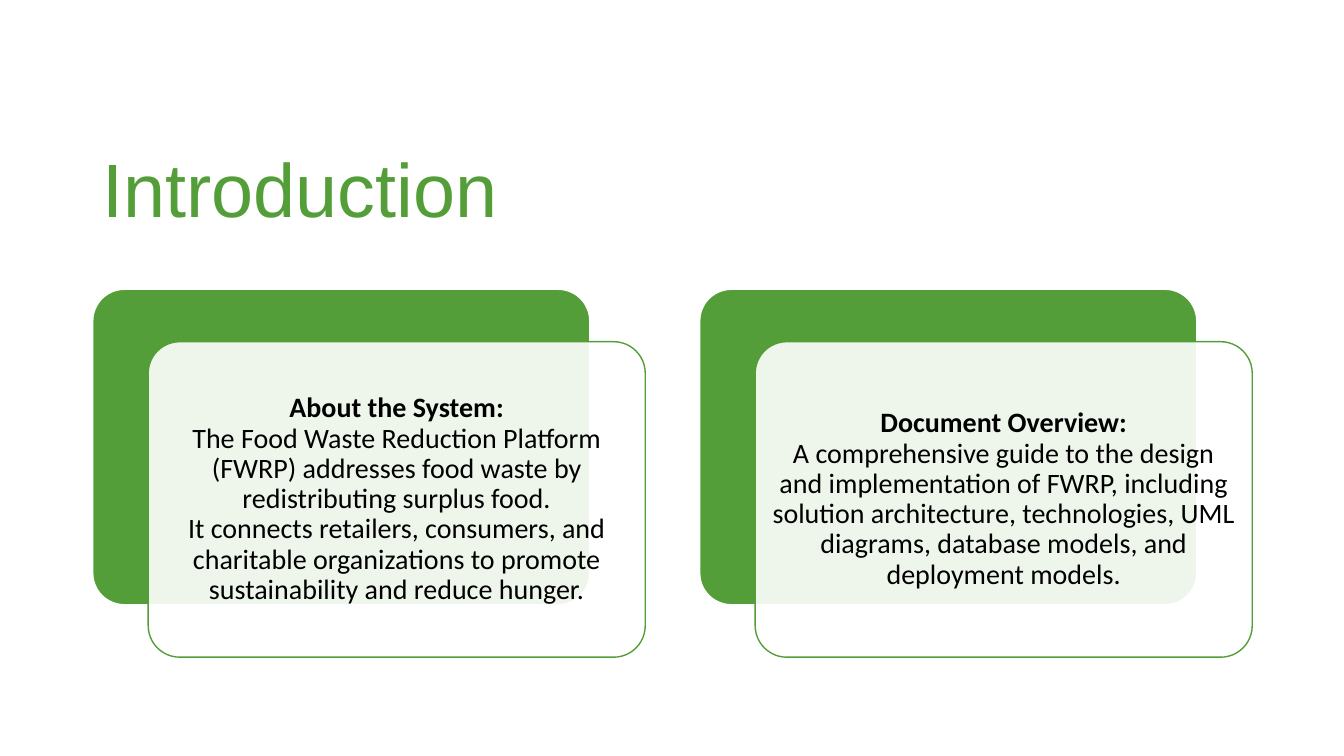
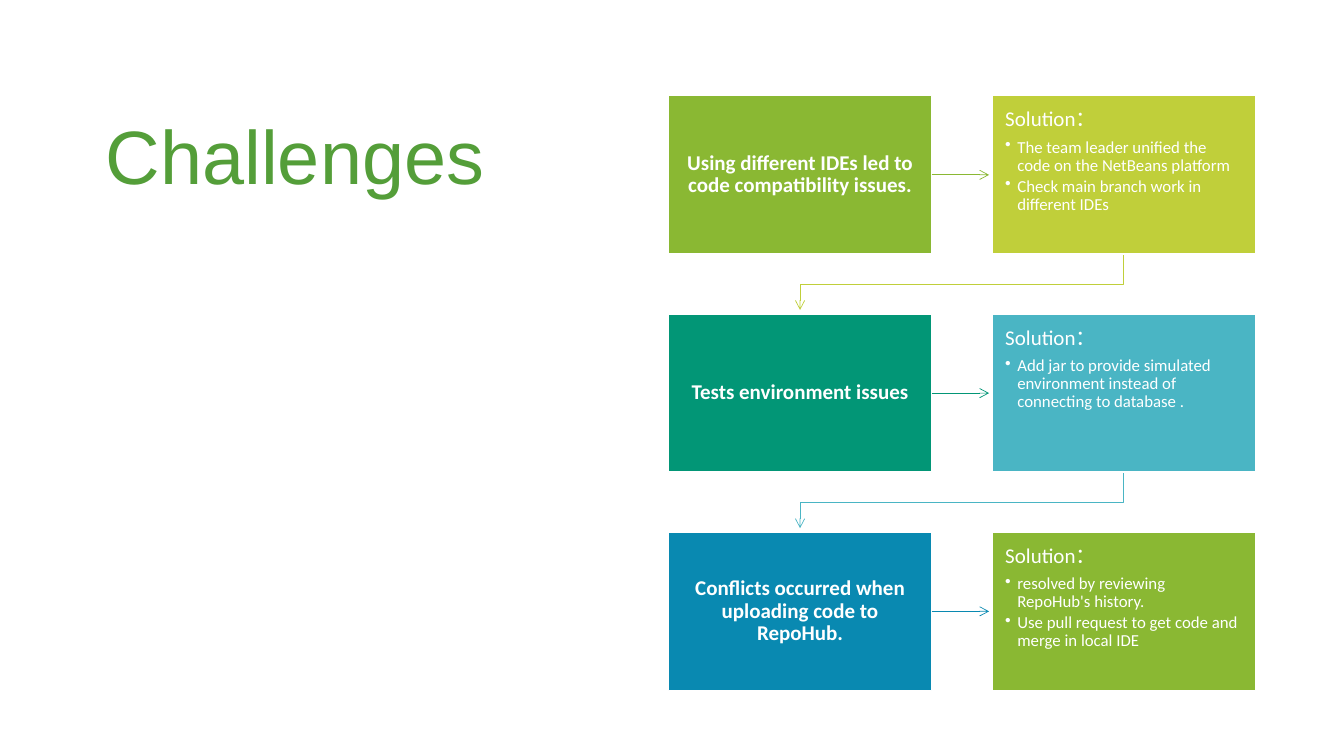
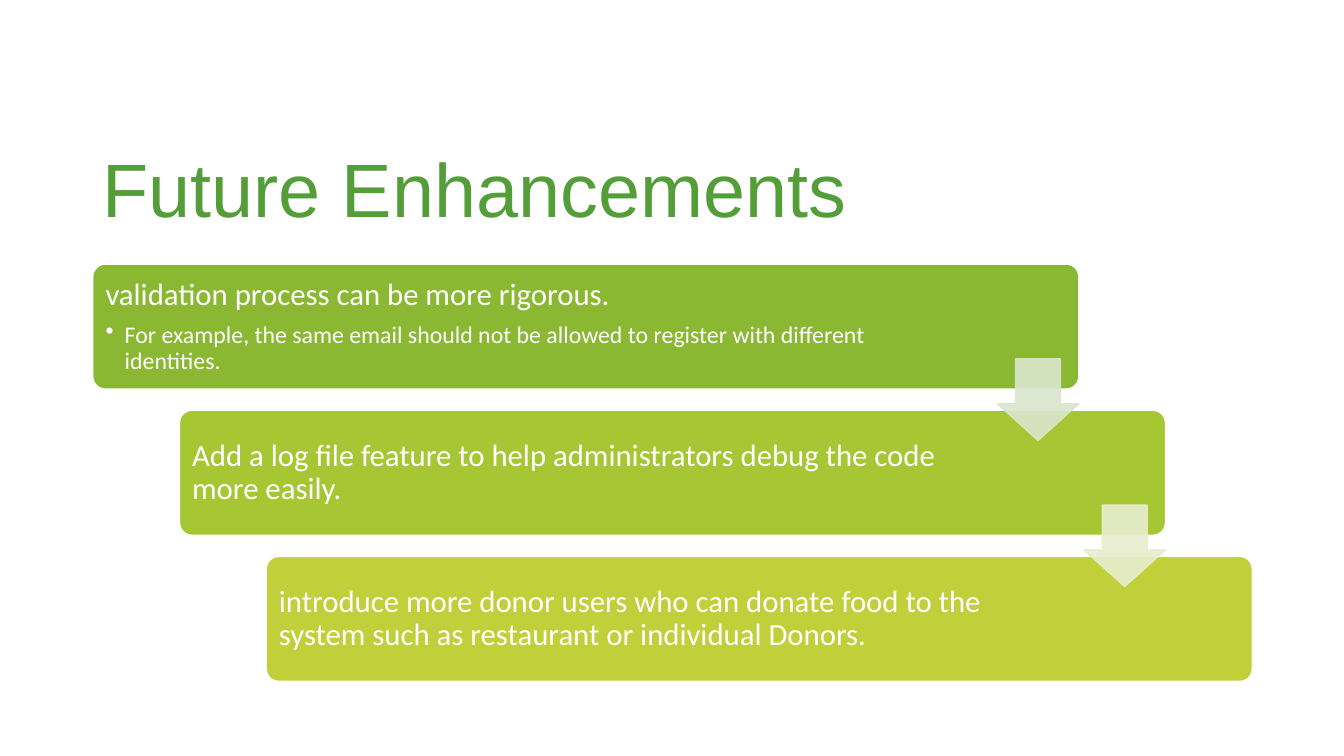
from pptx import Presentation
from pptx.dml.color import RGBColor
from pptx.enum.shapes import MSO_CONNECTOR, MSO_SHAPE
from pptx.enum.text import MSO_ANCHOR, PP_ALIGN
from pptx.oxml.ns import qn
from pptx.util import Inches, Pt
from lxml.etree import SubElement

HUES = {
    "green": "549E39", "leaf": "8AB833", "moss": "A6C634", "lime": "C0CF3A",
    "teal": "029676", "aqua": "4AB5C4", "blue": "0989B1",
    "pale": "DAE6CE", "cream": "E8EDCE", "white": "FFFFFF", "black": "000000",
}
TITLE = {"name": "Arial", "size": Pt(54)}
SIDES = ("margin_left", "margin_top", "margin_right", "margin_bottom")


def hue(name):
    return RGBColor.from_string(HUES[name])


def put(item, values):
    for key, value in values.items():
        setattr(item, key, value)


def frame(shape, pads, anchor):
    """Set wrapping, margins and anchor of the shape's text."""
    text = shape.text_frame
    margins = dict(zip(SIDES, map(Inches, pads)))
    put(text, {"word_wrap": True, "vertical_anchor": anchor, **margins})
    return text


def style(run, color, font):
    put(run.font, font)
    run.font.color.rgb = hue(color)


def say(para, text, color, font):
    """Add text to a paragraph, with a line break at each newline."""
    for i, line in enumerate(text.split("\n")):
        if i:
            para.add_line_break()
        run = para.add_run()
        run.text = line
        style(run, color, font)


def title(slide, text, place, anchor, top=0.05):
    box = slide.shapes.add_textbox(*map(Inches, place))
    words = frame(box, (0.1, top, 0.1, 0.05), anchor)
    say(words.paragraphs[0], text, "green", TITLE)


def block(slide, kind, place, fill, edge="white", adjust=()):
    shape = slide.shapes.add_shape(kind, *map(Inches, place))
    for i, value in enumerate(adjust):
        shape.adjustments[i] = value
    shape.shadow.inherit = False
    shape.fill.solid()
    shape.fill.fore_color.rgb = hue(fill)
    ink(shape, edge, 1)
    return shape


def ink(shape, color, width):
    shape.line.color.rgb = hue(color)
    shape.line.width = Pt(width)


def fade(node):
    """Make every colour under the node 90% opaque."""
    for color in list(node.iter(qn("a:srgbClr"))):
        SubElement(color, qn("a:alpha"), val="90000")


def tip(shape):
    SubElement(shape.line._get_or_add_ln(), qn("a:tailEnd"), type="arrow")


def items(text, head, points, sizes, indent):
    """Write a heading and its bulleted points in white."""
    for i, line in enumerate([head, *points]):
        para = text.add_paragraph() if i else text.paragraphs[0]
        size = sizes[1 if i else 0]
        after = 0.15 if i else 0.35
        put(para, {"line_spacing": 0.9, "alignment": PP_ALIGN.LEFT})
        if i < len(points):
            para.space_after = Pt(round(size * after, 2))
        if i:
            para.level = 1
            props = para._p.get_or_add_pPr()
            props.set("marL", str(Inches(indent)))
            props.set("indent", str(-Inches(indent)))
            SubElement(props, qn("a:buChar"), char="•")
        say(para, line, "white", {"name": "Calibri", "size": Pt(size)})


def center(text, parts, color, size):
    para = text.paragraphs[0]
    put(para, {"line_spacing": 0.9, "alignment": PP_ALIGN.CENTER})
    for line, bold in parts:
        say(para, line, color, {"name": "Calibri", "size": Pt(size), "bold": bold})


def card(slide, left, head, body):
    wide, high, top = 4.93, 3.13, 2.87
    kind = MSO_SHAPE.ROUNDED_RECTANGLE
    block(slide, kind, (left, top, wide, high), "green", adjust=[0.1])
    front = block(slide, kind, (left + 0.55, top + 0.52, wide, high),
                  "white", "green", [0.1])
    fade(front._element.spPr.find(qn("a:solidFill")))
    text = frame(front, [0.08] * 4, MSO_ANCHOR.MIDDLE)
    center(text, [(head + "\n", True), (body, False)], "black", 20)


def link(slide, box, end, color):
    """Draw an arrow from the right side of a box to a point."""
    line = slide.shapes.add_connector(MSO_CONNECTOR.STRAIGHT, 0, 0, *map(Inches, end))
    line.begin_connect(box, 3)
    ink(line, color, 0.5)
    tip(line)
    SubElement(line._element.spPr, qn("a:effectLst"))


def bend(slide, points, color):
    spots = [tuple(map(Inches, spot)) for spot in points]
    build = slide.shapes.build_freeform(*spots[0])
    build.add_line_segments(spots[1:], close=False)
    line = build.convert_to_shape()
    line.shadow.inherit = False
    line.fill.background()
    ink(line, color, 0.5)
    tip(line)


def intro(slide):
    title(slide, "Introduction", (0.92, 0.4, 11.5, 1.96), MSO_ANCHOR.BOTTOM)
    card(slide, 0.92, "About the System:",
         "The Food Waste Reduction Platform (FWRP) addresses food waste by "
         "redistributing surplus food.\nIt connects retailers, consumers, and "
         "charitable organizations to promote sustainability and reduce hunger.")
    card(slide, 6.94, "Document Overview:",
         "A comprehensive guide to the design and implementation of FWRP, "
         "including solution architecture, technologies, UML diagrams, "
         "database models, and deployment models.")


def issues(slide):
    top, tall = 0.95, 5.9
    title(slide, "Challenges", (0.95, top, 4.41, tall), MSO_ANCHOR.TOP, 0.13)
    rows = [
        ("Using different IDEs led to code compatibility issues.", "leaf", "lime",
         ["The team leader unified the code on the NetBeans platform",
          "Check main branch work in different IDEs"]),
        ("Tests environment issues", "teal", "aqua",
         ["Add jar to provide simulated environment instead of connecting to database ."]),
        ("Conflicts occurred when uploading code to RepoHub.", "blue", "leaf",
         ["resolved by reviewing RepoHub's history.",
          "Use pull request to get code and merge in local IDE"]),
    ]
    wide, high, left, right = 2.61, 1.57, 6.63, 9.84
    step = (tall - high) / (len(rows) - 1)
    for i, (issue, dark, light, points) in enumerate(rows):
        y = top + i * step
        cause = block(slide, MSO_SHAPE.RECTANGLE, (left, y, wide, high), dark)
        center(frame(cause, [0.13] * 4, MSO_ANCHOR.MIDDLE), [(issue, True)], "white", 15)
        link(slide, cause, (right - 0.03, y + high / 2), dark)
        if i < len(rows) - 1:
            low = y + high
            start, end = right + wide / 2, left + wide / 2
            bend(slide, [(start, low), (start, low + 0.3), (end, low + 0.3),
                         (end, y + step - 0.04)], light)
        cure = block(slide, MSO_SHAPE.RECTANGLE, (right, y, wide, high), light)
        items(frame(cure, [0.13] * 4, MSO_ANCHOR.TOP), "Solution：", points, (15, 12), 0.12)


def future(slide):
    title(slide, "Future Enhancements", (0.92, 0.4, 11.5, 1.96), MSO_ANCHOR.BOTTOM)
    left, top, over, down = 0.92, 2.62, 0.86, 1.45
    rows = [
        ("validation process can be more rigorous.",
         ["For example, the same email should not be allowed to register "
          "with different identities."], "leaf", 1.36),
        ("Add a log file feature to help administrators debug the code more easily.",
         [], "moss", 1.76),
        ("introduce more donor users who can donate food to the system such as "
         "restaurant or individual Donors.", [], "lime", 1.76),
    ]
    for i, (head, points, color, pad) in enumerate(rows):
        place = (left + i * over, top + i * down, 9.78, 1.24)
        bar = block(slide, MSO_SHAPE.ROUNDED_RECTANGLE, place, color, adjust=[0.1])
        text = frame(bar, (0.09, 0.09, pad, 0.09), MSO_ANCHOR.MIDDLE)
        items(text, head, points, (22, 17), 0.19)
    for i, color in enumerate(("pale", "cream")):
        place = (9.89 + i * over, 3.56 + i * down, 0.81, 0.81)
        arrow = block(slide, MSO_SHAPE.DOWN_ARROW, place, color, color, [0.55, 0.45])
        fade(arrow._element.spPr)


def main():
    deck = Presentation()
    put(deck, {"slide_width": Inches(13.33), "slide_height": Inches(7.5)})
    for draw in (intro, issues, future):
        draw(deck.slides.add_slide(deck.slide_layouts[6]))
    deck.save("out.pptx")


if __name__ == "__main__":
    main()
